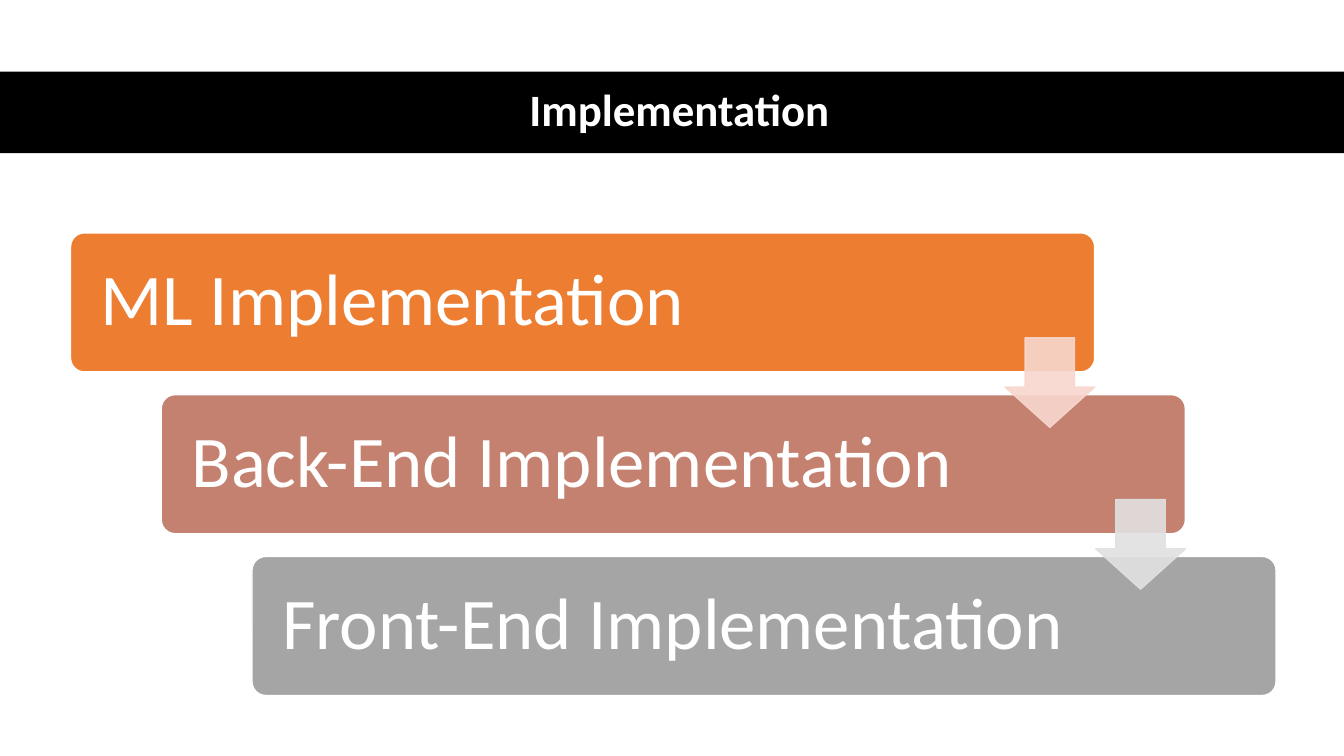
from lxml import etree
from pptx import Presentation
from pptx.dml.color import RGBColor
from pptx.enum.shapes import MSO_SHAPE
from pptx.enum.text import MSO_ANCHOR, PP_ALIGN
from pptx.oxml.ns import qn
from pptx.util import Inches, Pt

RECT, ROUNDED, ARROW = MSO_SHAPE.RECTANGLE, MSO_SHAPE.ROUNDED_RECTANGLE, MSO_SHAPE.DOWN_ARROW
MIDDLE = MSO_ANCHOR.MIDDLE
LEFT, CENTER = PP_ALIGN.LEFT, PP_ALIGN.CENTER

COLORS = {
    "black": "000000", "white": "FFFFFF",
    "orange": "ED7D31", "rose": "C48170", "gray": "A5A5A5",
    "pale_rose": "F8D7CE", "pale_gray": "E1E1E1",
}

# Staircase grid, in inches
STEP_X, STEP_Y = 0.9, 1.605
BOX_LEFT, BOX_TOP, BOX_W, BOX_H = 0.7, 2.31, 10.16, 1.38
ARROW_LEFT, ARROW_TOP, ARROW_SIZE = 9.97, 3.35, 0.89
INSET = 0.26

prs = Presentation()
prs.slide_width, prs.slide_height = Inches(13.333), Inches(7.5)
s = prs.slides.add_slide(prs.slide_layouts[6])


def add_block(kind, x, y, w, h, fill, line=None):
    sp = s.shapes.add_shape(kind, Inches(x), Inches(y), Inches(w), Inches(h))
    sp.shadow.inherit = False
    sp.fill.solid()
    sp.fill.fore_color.rgb = RGBColor.from_string(COLORS[fill])
    if line:
        sp.line.color.rgb = RGBColor.from_string(COLORS[line])
        sp.line.width = Pt(1)
    else:
        sp.line.fill.background()
    return sp


def set_label(sp, text, size, align, left, right, bold=False):
    tf = sp.text_frame
    tf.text = text
    tf.word_wrap = True
    tf.vertical_anchor = MIDDLE
    tf.margin_left, tf.margin_right = Inches(left), Inches(right)
    p = tf.paragraphs[0]
    p.alignment = align
    p.line_spacing = 0.9
    font = p.runs[0].font
    font.name, font.size, font.bold = "Calibri", Pt(size), bold
    font.color.rgb = RGBColor.from_string(COLORS["white"])


title_bar = add_block(RECT, 0, 0.71, 13.333, 0.81, "black")
set_label(title_bar, "Implementation", 32, CENTER, 0.71, 0.56, bold=True)

steps = [
    ("ML Implementation", "orange"),
    ("Back-End Implementation", "rose"),
    ("Front-End Implementation", "gray"),
]
for i, (text, color) in enumerate(steps):
    box = add_block(ROUNDED, BOX_LEFT + i * STEP_X, BOX_TOP + i * STEP_Y,
                    BOX_W, BOX_H, color, "white")
    box.adjustments[0] = 0.1
    set_label(box, text, 52, LEFT, INSET, INSET)

for i, color in enumerate(["pale_rose", "pale_gray"]):
    arrow = add_block(ARROW, ARROW_LEFT + i * STEP_X, ARROW_TOP + i * STEP_Y,
                      ARROW_SIZE, ARROW_SIZE, color, color)
    arrow.adjustments[0], arrow.adjustments[1] = 0.55, 0.45
    # 90% opacity on both fill and outline
    for clr in arrow.element.spPr.iter(qn("a:srgbClr")):
        etree.SubElement(clr, qn("a:alpha")).set("val", "90000")

prs.save("out.pptx")
